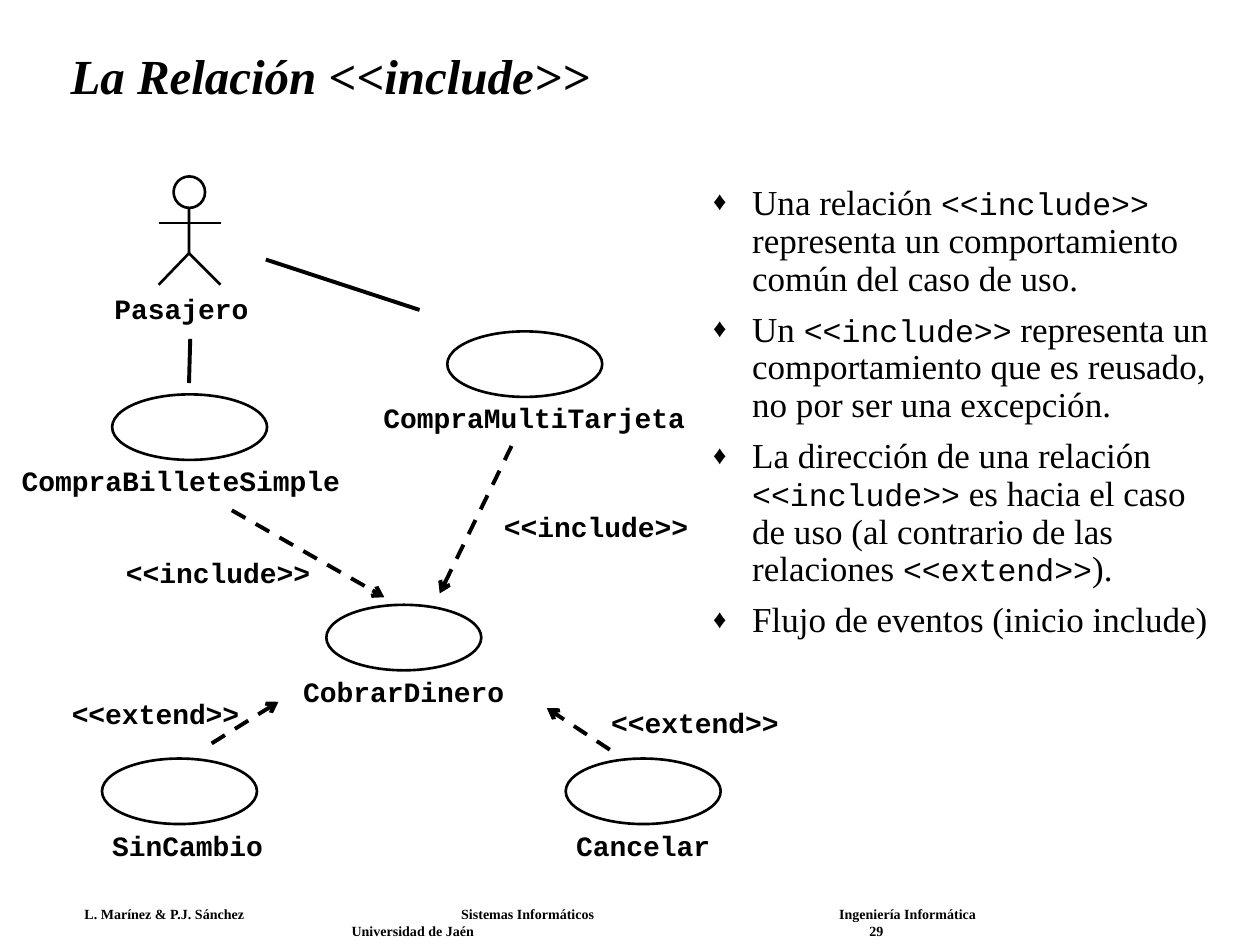
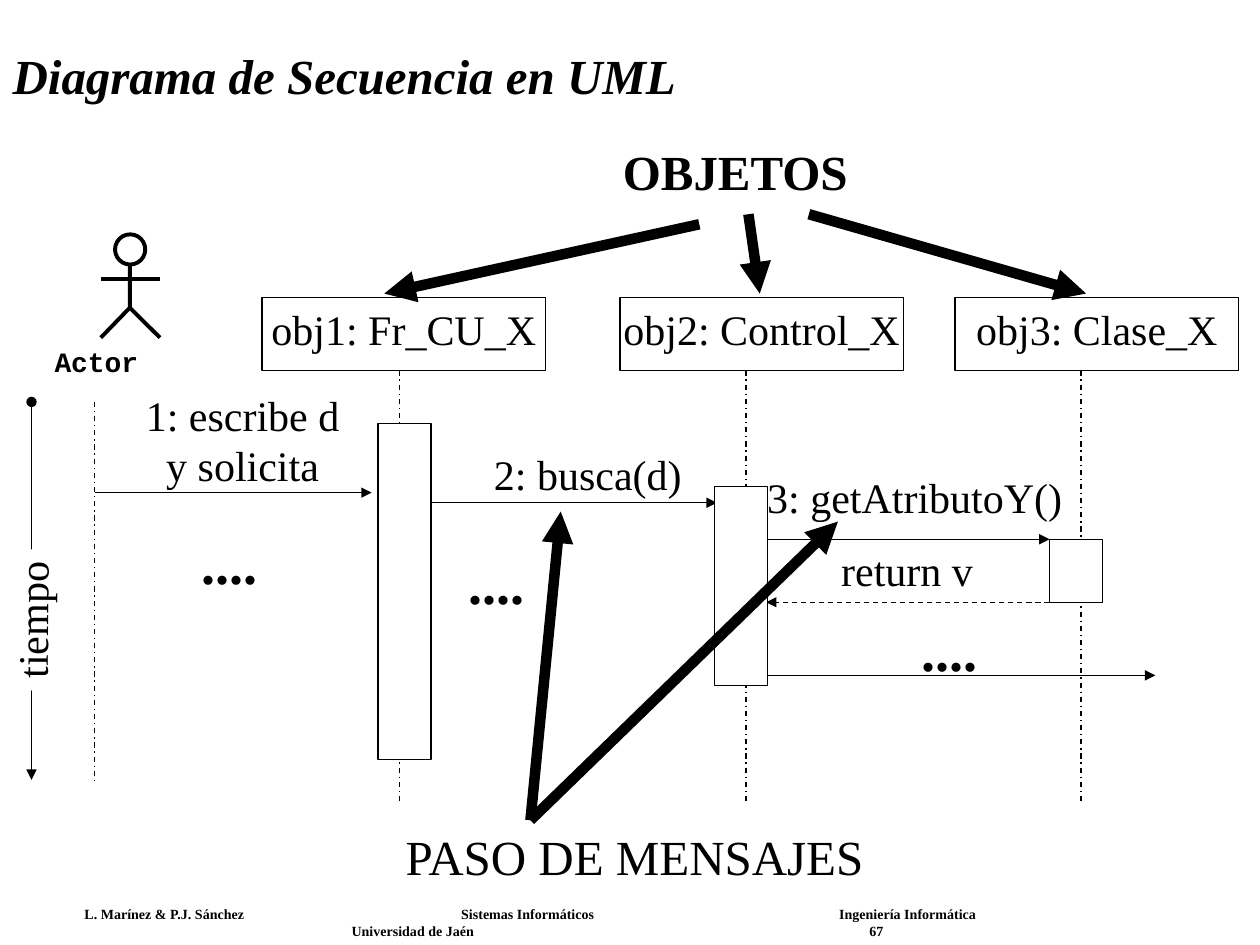
from dataclasses import dataclass
from typing import Any

from lxml import etree
from pptx import Presentation
from pptx import util as u
from pptx.dml.color import RGBColor
from pptx.enum import dml, shapes, text
from pptx.oxml import ns

# Shared look
INK, PAPER = "000000", "FFFFFF"
SERIF, MONO = "Times New Roman", "Courier New"
LEFT, MID = text.PP_ALIGN.LEFT, text.PP_ALIGN.CENTER
OVAL, RECT = shapes.MSO_SHAPE.OVAL, shapes.MSO_SHAPE.RECTANGLE
DASH, DOT = dml.MSO_LINE.DASH, dml.MSO_LINE.DASH_DOT
LABEL = {"font": MONO, "size": 16, "bold": True}

# The slide is a grid of 100 columns and 75 rows
WIDE, HIGH = u.Inches(10), u.Inches(7.5)
CELL = WIDE / 100


def cells(*nums):
    return [round(n * CELL) for n in nums]


def rgb(code):
    return RGBColor.from_string(code)


def put(obj, **vals):
    for key, val in vals.items():
        setattr(obj, key, val)


def node(host, tag, **vals):
    item = etree.SubElement(host, ns.qn(tag))
    for key, val in vals.items():
        item.set(key, val)
    return item


def style(run, size, font=SERIF, bold=False, italic=False):
    put(run.font, size=u.Pt(size), name=font, bold=bold, italic=italic)
    run.font.color.rgb = rgb(INK)


def frame(shape, pad=(1, 0.5), wrap=True, anchor=text.MSO_ANCHOR.MIDDLE):
    """Set insets, wrapping and anchor of a text frame."""
    side, edge = cells(*pad)
    put(shape.text_frame, margin_left=side, margin_right=side,
        margin_top=edge, margin_bottom=edge, word_wrap=wrap,
        vertical_anchor=anchor, auto_size=text.MSO_AUTO_SIZE.NONE)
    return shape.text_frame


def move(shape, box):
    left, top, wide, high = cells(*box)
    put(shape, left=left, top=top, width=wide, height=high)


@dataclass
class Area:
    """A drawing region; its parts are placed from its top left corner."""
    items: Any
    x: float
    y: float

    def group(self, x, y):
        return Area(self.items.add_group_shape().shapes, self.x + x, self.y + y)

    def spot(self, x, y):
        return cells(self.x + x, self.y + y)

    def label(self, words, x, y, w, h, wrap=False, pad=(1, 0.5), size=24, **look):
        box = self.items.add_textbox(*self.spot(x, y), *cells(w, h))
        par = frame(box, pad, wrap).paragraphs[0]
        par.alignment = MID
        run = par.add_run()
        run.text = words
        style(run, size, **look)
        return box

    def shape(self, kind, x, y, w, h, fill=None, width=0.75):
        part = self.items.add_shape(kind, *self.spot(x, y), *cells(w, h))
        self.ink(part, fill, width)

    def ink(self, part, fill, width):
        part.shadow.inherit = False
        if fill:
            part.fill.solid()
            part.fill.fore_color.rgb = rgb(fill)
        else:
            part.fill.background()
        part.line.color.rgb = rgb(INK)
        part.line.width = u.Pt(width)

    def line(self, x1, y1, x2, y2, width=0.75, dash=None, tail=None, head=None):
        part = self.items.add_connector(
            shapes.MSO_CONNECTOR.STRAIGHT, *self.spot(x1, y1), *self.spot(x2, y2))
        part.line.color.rgb = rgb(INK)
        put(part.line, width=u.Pt(width), dash_style=dash)
        props = part.element.spPr
        for tag, kind in (("a:headEnd", head), ("a:tailEnd", tail)):
            if kind:
                node(props.find(ns.qn("a:ln")), tag, type=kind)
        node(props, "a:effectLst")

    def trace(self, points, width):
        first, *rest = [self.spot(*p) for p in points]
        pen = self.items.build_freeform(*first)
        pen.add_line_segments(rest, close=False)
        self.ink(pen.convert_to_shape(), None, width)


def title(slide, words, box):
    head = slide.shapes.title
    move(head, box)
    par = frame(head).paragraphs[0]
    put(par, alignment=LEFT, line_spacing=0.9)
    run = par.add_run()
    run.text = words
    style(run, 28, bold=True, italic=True)


def footer(slide, number, box):
    note = slide.shapes.add_textbox(*cells(*box))
    body = frame(note, (0.8, 0.4), False, text.MSO_ANCHOR.TOP)
    rows = (
        (("L. Marínez & P.J. Sánchez", "Sistemas Informáticos",
          "Ingeniería Informática"), (29.9, 59.9)),
        (("", "Universidad de Jaén", str(number)), (21.2, 62.3)),
    )
    for i, (parts, stops) in enumerate(rows):
        par = body.add_paragraph() if i else body.paragraphs[0]
        par.alignment = LEFT
        run = par.add_run()
        run.text = "\t".join(parts)
        style(run, 8, bold=True)
        tabs = node(par._p.get_or_add_pPr(), "a:tabLst")
        for stop in cells(*stops):
            node(tabs, "a:tab", pos=str(stop), algn="l")


def bullets(slide, items, box):
    """Fill the body; every second part between bars is code."""
    body = slide.placeholders[1]
    move(body, box)
    field = frame(body, anchor=text.MSO_ANCHOR.TOP)
    for i, item in enumerate(items):
        par = field.add_paragraph() if i else field.paragraphs[0]
        put(par, alignment=LEFT, line_spacing=0.9, space_before=u.Pt(7.5))
        props = par._p.get_or_add_pPr()
        hang = cells(3.1)[0]
        props.set("marL", str(hang))
        props.set("indent", str(-hang))
        node(node(props, "a:buClr"), "a:srgbClr", val=INK)
        node(props, "a:buSzPct", val="75000")
        node(props, "a:buChar", char="♦")
        for k, words in enumerate(item.split("|")):
            run = par.add_run()
            run.text = words
            if k % 2:
                style(run, 18, MONO)
            else:
                style(run, 20)


def caption(area, words, mid, y):
    wide = len(words) * 1.33
    area.label(words, mid - wide / 2, y, wide, 2.7, pad=(0, 0), **LABEL)


def actor(area, name, x, y, w, h, width, shift):
    """Stick figure in a box, its name below."""
    man = area.group(x, y)
    neck, hip = w * 0.49, h * 0.71
    man.trace([(neck, h * 0.21), (neck, hip), (0, h)], width)
    man.line(neck, hip, w, h, width)
    man.line(0, h * 0.43, w, h * 0.43, width)
    man.shape(OVAL, w * 0.24, 0, w * 0.51, w * 0.51, PAPER, width)
    caption(man, name, w / 2 + shift, h + 0.5)


def case(area, name, x, y, shift=0):
    """Use case: an oval with its name below."""
    part = area.group(x, y)
    part.shape(OVAL, 0, 0, 12.3, 5.2, width=1.5)
    caption(part, name, 6.15 + shift, 5.5)


def cases(slide, x, y):
    """Use case diagram."""
    area = Area(slide.shapes, x, y)
    actor(area, "Pasajero", 12.6, 0, 4.9, 8.6, 1.5, -0.65)
    for name, *spot in (
        ("CompraBilleteSimple", 8.9, 17.3, -0.7),
        ("CompraMultiTarjeta", 35.5, 12.3, 0.75),
        ("CobrarDinero", 25.9, 34),
        ("SinCambio", 8.1, 46.2, 0.65),
        ("Cancelar", 44.9, 46.2),
    ):
        case(area, name, *spot)
    # Links from the actor
    area.line(15.1, 12.9, 15, 16.4, 2.25)
    area.line(21.1, 6.6, 33.3, 10.6, 2.25)
    # Dashed relations: label, its corner, arrow
    for word, left, top, *ends in (
        ("include", 9, 29.6, 18.4, 26.5, 30.5, 33.4),
        ("include", 39, 25.9, 40.6, 21.4, 34.9, 33.1),
        ("extend", 4.7, 40.8, 16.8, 45, 22.1, 41.7),
        ("extend", 47.5, 41.5, 48.4, 45.5, 43.4, 42.2),
    ):
        area.line(*ends, 2.25, DASH, "arrow")
        label = f"<<{word}>>"
        area.label(label, left, top, len(label) * 1.33 + 2, 3.7, **LABEL)


def sequence(slide, x, y):
    """Sequence diagram."""
    area = Area(slide.shapes, x, y)
    # Objects and lifelines
    for name, left, life in (
        ("obj1: Fr_CU_X", 20.8, 31.7),
        ("obj2: Control_X", 49.2, 59.2),
        ("obj3: Clase_X", 75.8, 85.8),
    ):
        area.shape(RECT, left, 13.6, 22.5, 5.8)
        area.label(name, left, 13.6, 22.5, 5)
        area.line(life, 19.4, life, 53.6, dash=DOT)
    area.line(7.5, 21.9, 7.5, 51.9, dash=DOT)
    # Messages, then the activation bars above them
    for x1, x2, row, dash in (
        (7.5, 29.5, 29.1, None),
        (31.9, 56.9, 29.9, None),
        (60.8, 83.3, 32.8, None),
        (83.3, 60.8, 37.8, DASH),
        (60.8, 91.7, 43.6, None),
    ):
        area.line(x1, row, x2, row, dash=dash, tail="triangle")
    for left, top, high in ((56.7, 28.6, 15.8), (30, 23.6, 26.7), (83.3, 32.8, 5)):
        area.shape(RECT, left, top, 4.2, high, PAPER)
    for words, *box in (
        ("1: escribe d y solicita", 9.8, 20.4, 18.9, 9, True),
        ("2: busca(d)", 38.2, 25.1, 16.9, 5),
        ("3: getAtributoY()", 59.9, 26.9, 25.4, 5),
        ("return v", 65.8, 32.7, 12.4, 5),
    ):
        area.label(words, *box)
    for left, top in ((71.7, 38.3), (35.8, 33), (14.6, 31.4)):
        area.label("....", left, top, 7.3, 6.4, True, size=32, bold=True)
    # Time axis
    area.line(2.5, 21.9, 2.5, 51.9, tail="triangle", head="oval")
    time = area.label("tiempo", -3.1, 36.7, 11.2, 5)
    time.rotation = 270.4
    time.fill.solid()
    time.fill.fore_color.rgb = rgb(PAPER)
    # Callouts
    area.label("OBJETOS", 48.4, 0.7, 19.9, 5.7, size=28, bold=True)
    area.label("PASO DE MENSAJES", 31, 55.1, 38.7, 5.7, size=28)
    for ends in (
        (55.5, 7.8, 30.5, 13.3), (59.4, 7, 60.3, 13.3), (64.2, 7, 86.2, 13.3),
        (42.1, 55.1, 66.5, 31.4), (42.1, 55.1, 44.5, 30.6),
    ):
        area.line(*ends, 6, tail="triangle")
    actor(area, "Actor", 8, 8.6, 4.7, 8.2, 2.25, -2.7)


def main():
    deck = Presentation()
    put(deck, slide_width=WIDE, slide_height=HIGH)
    first, second = (deck.slides.add_slide(deck.slide_layouts[n]) for n in (1, 5))

    title(first, "La Relación <<include>>", (4.6, 2.4, 89.2, 7.7))
    cases(first, 0, 14)
    bullets(first, (
        "Una relación |<<include>>| representa un comportamiento común "
        "del caso de uso.",
        "Un |<<include>>| representa un comportamiento que es reusado, "
        "no por ser una excepción.",
        "La dirección de una relación |<<include>>| es hacia el caso de uso "
        "(al contrario de las relaciones |<<extend>>|).",
        "Flujo de eventos (inicio include)",
    ), (55.6, 14.2, 42.4, 53.8))

    title(second, "Diagrama de Secuencia en UML", (0, 0, 100, 12.5))
    sequence(second, 0, 10)

    for slide, number in ((first, 29), (second, 67)):
        footer(slide, number, (5.9, 71.5, 86.5, 2.1))
    deck.save("out.pptx")


if __name__ == "__main__":
    main()
